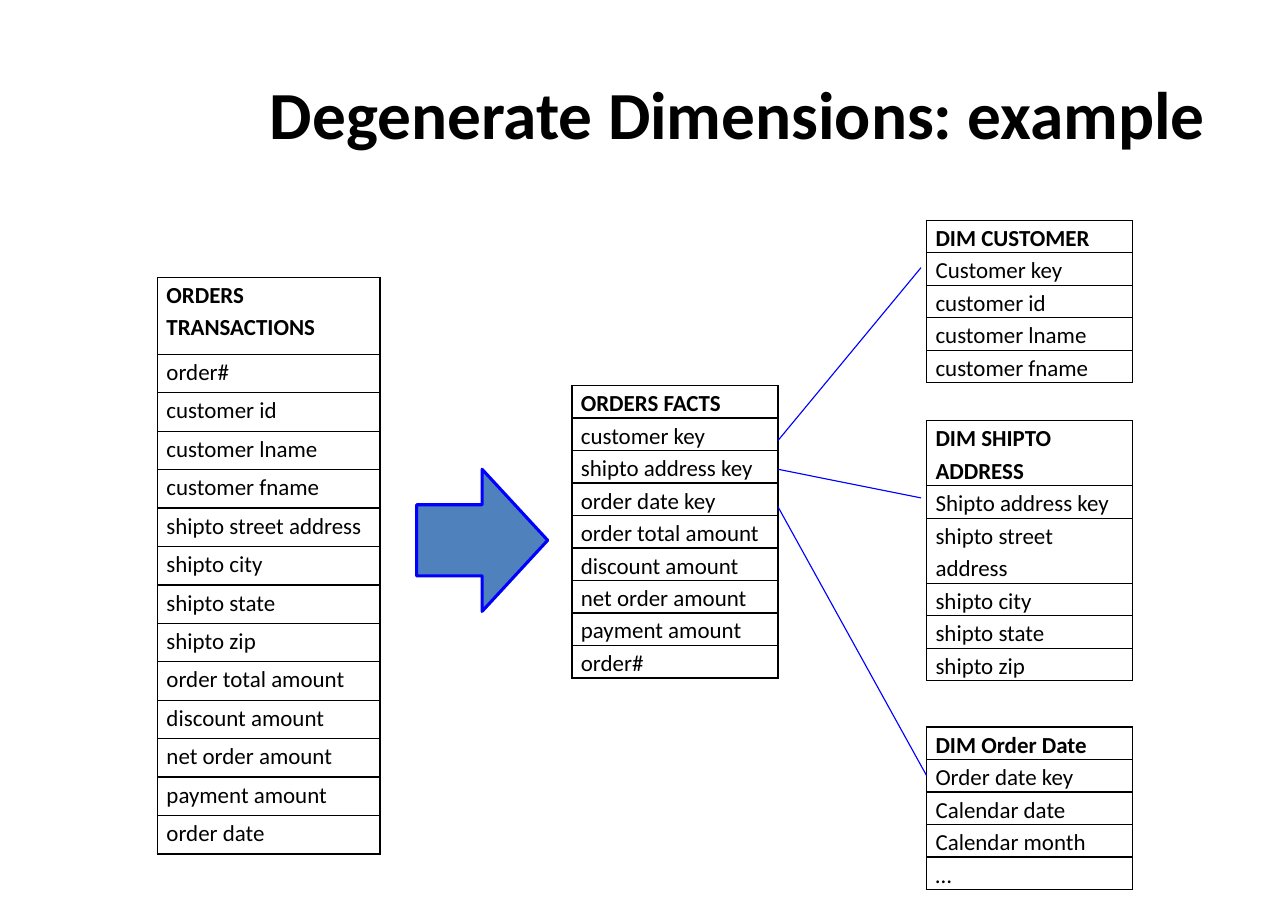
from lxml import etree
from pptx import Presentation
from pptx import util as u
from pptx.dml.color import RGBColor
from pptx.enum import shapes, text
from pptx.oxml import ns

WIDTH, HEIGHT = u.Inches(11.69), u.Inches(8.27)
BLACK = RGBColor(0x00, 0x00, 0x00)
BLUE = RGBColor(0x00, 0x00, 0xFF)
STEEL = RGBColor(0x4F, 0x81, 0xBD)

TITLE_FONT = {"name": "Calibri", "size": u.Pt(44), "bold": True}
HEAD_FONT = {"name": "Calibri", "size": u.Pt(15), "bold": True}
FIELD_FONT = {**HEAD_FONT, "bold": False}

# Columns of the slide, in percent of its width
ORDERS_X, FACTS_X, FACTS_RIGHT, DIM_X = 12.23, 44.4, 60.4, 71.94
ORDERS_W, STAR_W = 17.28, 16
# Row heights, in percent of the slide's height
ORDERS_ROW, STAR_ROW = 4.22, 3.57

AMOUNTS = ["order total amount", "discount amount", "net order amount", "payment amount"]
SHIPTO = ["shipto street address", "shipto city", "shipto state", "shipto zip"]
CUSTOMER = ["customer id", "customer lname", "customer fname"]

# left, top, width, row height, fields, rows that take two lines
ENTITIES = [
    (ORDERS_X, 30.47, ORDERS_W, ORDERS_ROW,
     ["ORDERS TRANSACTIONS", "order#", *CUSTOMER, *SHIPTO, *AMOUNTS, "order date"], {0}),
    (FACTS_X, 42.32, STAR_W, STAR_ROW,
     ["ORDERS FACTS", "customer key", "shipto address key", "order date key",
      *AMOUNTS, "order#"], set()),
    (DIM_X, 24.18, STAR_W, STAR_ROW,
     ["DIM CUSTOMER", "Customer key", *CUSTOMER], set()),
    (DIM_X, 46.19, STAR_W, STAR_ROW,
     ["DIM SHIPTO ADDRESS", "Shipto address key", *SHIPTO], {0, 2}),
    (DIM_X, 79.81, STAR_W, STAR_ROW,
     ["DIM Order Date", "Order date key", "Calendar date", "Calendar month", "…"], set()),
]

# start height at the facts table, then end point at the dimension
KEY_LINKS = [(48.37, 71.51, 29.38), (51.51, 71.51, 54.66), (55.62, DIM_X, 85.13)]


def across(percent):
    return round(WIDTH * percent / 100)


def down(percent):
    return round(HEIGHT * percent / 100)


def area(left, top, width, height):
    return across(left), down(top), across(width), down(height)


def apply(target, values):
    for name, value in values.items():
        setattr(target, name, value)


def write(paragraph, words, font):
    run = paragraph.add_run()
    run.text = words
    apply(run.font, font)
    run.font.color.rgb = BLACK


def add_title(slide, words):
    title = slide.shapes.add_textbox(*area(19.59, 3.99, 75.45, 16.69)).text_frame
    apply(title, {"word_wrap": True, "vertical_anchor": text.MSO_ANCHOR.MIDDLE})
    title.paragraphs[0].alignment = text.PP_ALIGN.CENTER
    write(title.paragraphs[0], words, TITLE_FONT)


def add_borders(cell):
    properties = cell._tc.get_or_add_tcPr()
    for side in ("a:lnL", "a:lnR", "a:lnT", "a:lnB"):
        border = etree.SubElement(properties, ns.qn(side), w=str(u.Pt(1)))
        fill = etree.SubElement(border, ns.qn("a:solidFill"))
        etree.SubElement(fill, ns.qn("a:srgbClr"), val=str(BLACK))


def fill_cell(cell, words, font):
    add_borders(cell)
    cell.fill.background()
    apply(cell, {"margin_left": across(0.7), "margin_right": across(0.7),
                 "margin_top": 0, "margin_bottom": 0})
    paragraph = cell.text_frame.paragraphs[0]
    paragraph.line_spacing = 1.15
    write(paragraph, words, font)


def add_entity(slide, left, top, width, row_height, fields, two_line_rows):
    height = row_height * (len(fields) + len(two_line_rows))
    entity = slide.shapes.add_table(len(fields), 1, *area(left, top, width, height)).table
    apply(entity, {"first_row": False, "horz_banding": False})
    for index, field in enumerate(fields):
        lines = 2 if index in two_line_rows else 1
        entity.rows[index].height = down(row_height * lines)
        fill_cell(entity.cell(index, 0), field, FIELD_FONT if index else HEAD_FONT)


def add_key_link(slide, start_y, end_x, end_y):
    link = slide.shapes.add_connector(
        shapes.MSO_CONNECTOR.STRAIGHT,
        across(FACTS_RIGHT), down(start_y), across(end_x), down(end_y))
    link.line.color.rgb = BLUE
    link.line.width = u.Pt(0.75)
    etree.SubElement(link._element.spPr, ns.qn("a:effectLst"))


def add_transform_arrow(slide):
    arrow = slide.shapes.add_shape(
        shapes.MSO_SHAPE.RIGHT_ARROW, *area(32.34, 51.51, 10.18, 15.6))
    arrow.shadow.inherit = False
    arrow.fill.solid()
    arrow.fill.fore_color.rgb = STEEL
    arrow.line.color.rgb = BLUE
    arrow.line.width = u.Pt(2)


def main():
    deck = Presentation()
    apply(deck, {"slide_width": WIDTH, "slide_height": HEIGHT})
    slide = deck.slides.add_slide(deck.slide_layouts[6])

    add_title(slide, "Degenerate Dimensions: example")

    # Source table, facts and dimensions
    for entity in ENTITIES:
        add_entity(slide, *entity)

    # Keys joined to their dimensions
    for link in KEY_LINKS:
        add_key_link(slide, *link)

    # From transactions to the star schema
    add_transform_arrow(slide)

    deck.save("out.pptx")


if __name__ == "__main__":
    main()
